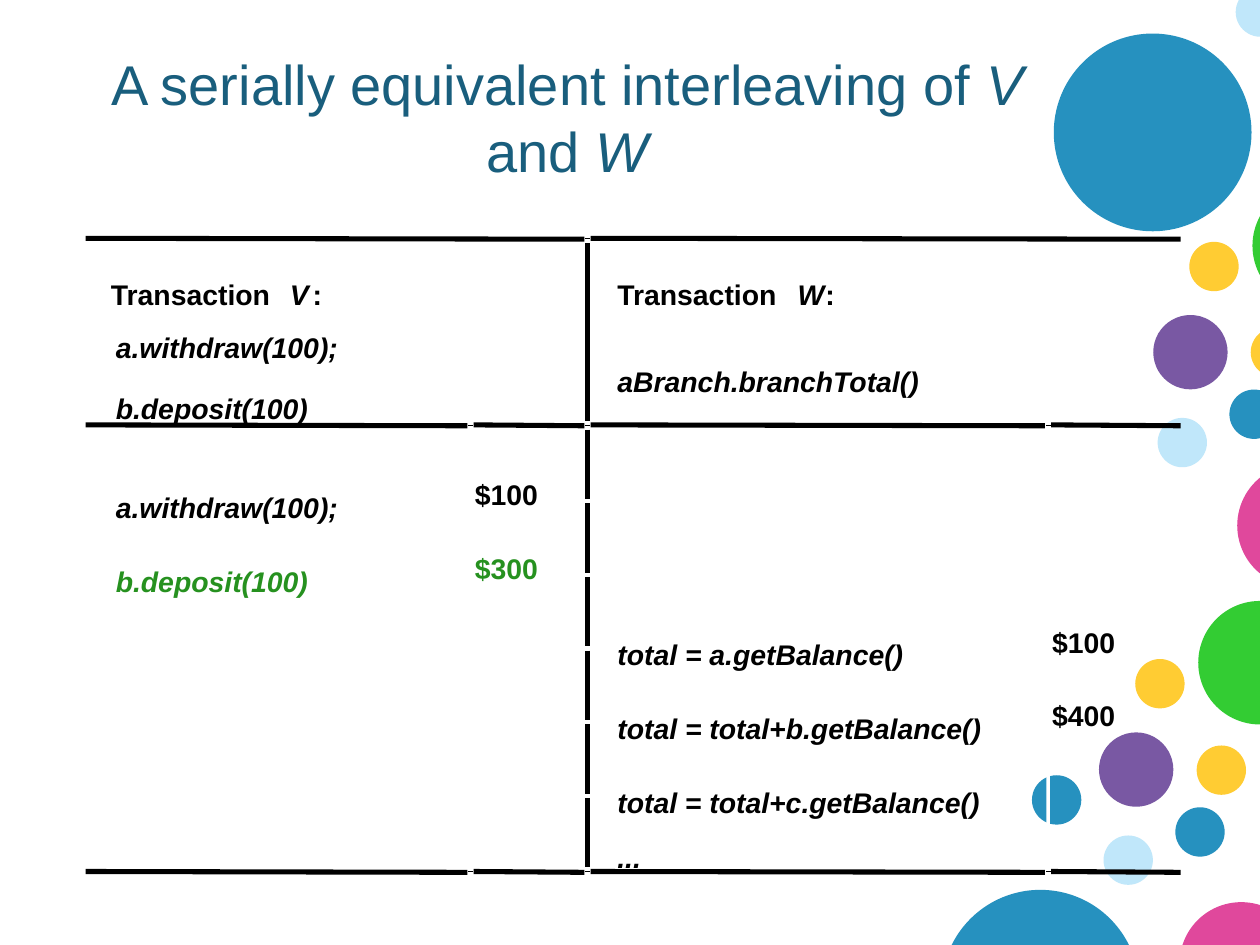
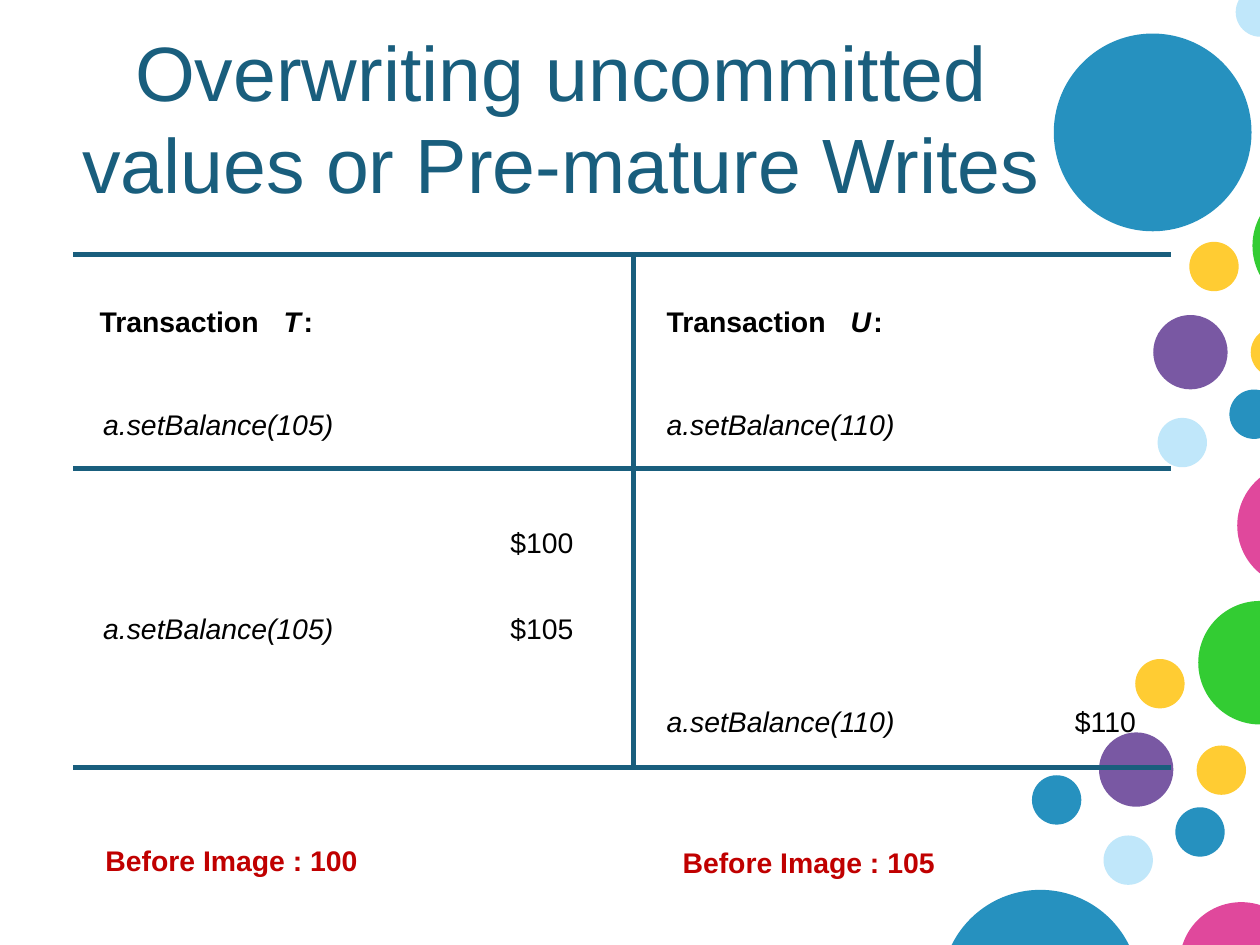
from lxml import etree
from pptx import Presentation
from pptx.dml.color import RGBColor
from pptx.enum.shapes import MSO_CONNECTOR, MSO_SHAPE
from pptx.enum.text import MSO_ANCHOR, MSO_AUTO_SIZE, PP_ALIGN
from pptx.oxml.ns import qn
from pptx.util import Pt

OVAL, RECTANGLE = MSO_SHAPE.OVAL, MSO_SHAPE.RECTANGLE
STRAIGHT = MSO_CONNECTOR.STRAIGHT
MIDDLE, CENTER = MSO_ANCHOR.MIDDLE, PP_ALIGN.CENTER
NO_AUTOFIT, GROW = MSO_AUTO_SIZE.NONE, MSO_AUTO_SIZE.SHAPE_TO_FIT_TEXT
TITLE_ONLY = 5

FONT = "Arial"
BLACK, WHITE, TEAL, RED, DARK_GREEN = "000000", "FFFFFF", "195E7D", "C00000", "26911F"
BLUE, PALE, PURPLE = "2691BF", "C0E7FA", "7958A3"
GREEN, YELLOW, PINK = "33CC33", "FFCC33", "E0489C"
SMALL, MEDIUM, LARGE, HUGE = 28.2, 42.5, 70.6, 113

BUBBLES = [
    (684.7, 343.4, LARGE, GREEN), (648.7, 376.6, SMALL, YELLOW),
    (707, 265, LARGE, PINK), (628, 418.5, MEDIUM, PURPLE),
    (589.7, 443, SMALL, BLUE), (683.8, 426, SMALL, YELLOW),
    (630.6, 477.4, SMALL, PALE), (671.6, 461.3, SMALL, BLUE),
    (602.2, 19.2, HUGE, BLUE), (715.7, 105.1, LARGE, GREEN),
    (679.6, 138.2, SMALL, YELLOW), (659, 180, MEDIUM, PURPLE),
    (714.7, 187.2, SMALL, YELLOW), (661.5, 238.8, SMALL, PALE),
    (702.5, 222.6, SMALL, BLUE), (538, 508.5, HUGE, BLUE),
    (674, 515.5, LARGE, PINK), (706.1, -7.2, SMALL, PALE),
]


def color(value):
    return RGBColor.from_string(value)


def add_plain_shape(shapes, kind, left, top, width, height, fill):
    shape = shapes.add_shape(kind, Pt(left), Pt(top), Pt(width), Pt(height))
    shape.shadow.inherit = False
    shape.fill.solid()
    shape.fill.fore_color.rgb = color(fill)
    shape.line.fill.background()
    return shape


def add_line(shapes, start, end, line_color, width):
    line = shapes.add_connector(STRAIGHT, *(Pt(value) for value in start + end))
    line.line.color.rgb = color(line_color)
    line.line.width = Pt(width)
    etree.SubElement(line.element.spPr, qn("a:effectLst"))


def add_run(paragraph, text, size=28, text_color=BLACK, bold=False, italic=False, baseline=None):
    run = paragraph.add_run()
    run.text = text
    font = run.font
    font.name, font.size, font.bold, font.italic = FONT, Pt(size), bold, italic
    font.color.rgb = color(text_color)
    if baseline:
        run._r.get_or_add_rPr().set("baseline", str(baseline * 1000))


def add_text(shapes, text, left, top, width, height=22.3, inset=True, **text_format):
    """Add a lowered label; without inset it starts exactly at its left edge."""
    box = shapes.add_textbox(Pt(left), Pt(top), Pt(width), Pt(height))
    frame = box.text_frame
    frame.word_wrap = inset
    frame.auto_size = GROW
    if not inset:
        frame.margin_left = frame.margin_top = frame.margin_right = frame.margin_bottom = 0
    add_run(frame.paragraphs[0], text, baseline=-25, **text_format)


def add_label(shapes, text, left, top, width, **text_format):
    add_text(shapes, text, left, top, width, inset=False, **text_format)


def set_title(slide, runs, width, size):
    title = slide.shapes.title
    title.left, title.top, title.width, title.height = Pt(36), Pt(21.6), Pt(width), Pt(90)
    frame = title.text_frame
    frame.word_wrap = True
    frame.auto_size = NO_AUTOFIT
    frame.vertical_anchor = MIDDLE
    paragraph = frame.paragraphs[0]
    paragraph.alignment = CENTER
    for text, italic in runs:
        add_run(paragraph, text, size=size, text_color=TEAL, italic=italic)


def decorate_layout(layout, slide):
    """Draw the bubbles on a slide, then move them to its layout."""
    for placeholder in list(layout.placeholders)[1:]:
        layout.shapes.element.remove(placeholder.element)
    bubbles = [add_plain_shape(slide.shapes, OVAL, left, top, size, size, fill)
               for left, top, size, fill in BUBBLES]
    for bubble in bubbles:
        layout.shapes.element.append(bubble.element)


def draw_heading(shapes, left, top, name, name_offset, colon_offset, height=22.3):
    parts = [("Transaction", 0, 110.9, False), (name, name_offset, 18, True),
             (":", colon_offset, 6.5, False)]
    for text, offset, width, italic in parts:
        add_label(shapes, text, left + offset, top, width, height=height,
                  bold=True, italic=italic)


def draw_broken_rule(shapes, left, right, top, breaks):
    """Draw a rule that leaves a gap with a tiny mark at every break."""
    gap, rise, start = 1.8, 0.5, left
    for position in breaks:
        add_line(shapes, (start, top), (position - gap, top + rise), BLACK, 2.88)
        add_line(shapes, (position, top), (position, top + rise), BLACK, 2.88)
        start = position + gap
    add_line(shapes, (start, top), (right, top + rise), BLACK, 2.88)


def draw_interleaving(slide, left, top):
    shapes = slide.shapes.add_group_shape().shapes
    right = left + 625.6
    amount_edge, divider, second_amount_edge = left + 219.9, left + 286.7, left + 549.9
    operation_v, operation_w = left + 17.2, left + 303.8
    amount_v, amount_w = left + 222.4, left + 552.2
    rows_top, row_height, row_count = top + 109.3, 42.1, 6
    code = {"bold": True, "italic": True}

    for row in range(row_count):
        row_top = rows_top + row * row_height
        for edge in (amount_edge, second_amount_edge):
            add_plain_shape(shapes, RECTANGLE, edge - 1, row_top, 2, row_height, WHITE)
        add_line(shapes, (divider, row_top), (divider, row_top + 39.6), BLACK, 2.88)
    add_line(shapes, (divider, top + 2.8), (divider, top + 104.3), BLACK, 2.88)

    all_edges = [amount_edge, divider, second_amount_edge]
    for offset, breaks in [(0, [divider]), (106.6, all_edges), (361.8, all_edges)]:
        draw_broken_rule(shapes, left, right, top + offset, breaks)

    draw_heading(shapes, left + 14.4, top + 3.5, "V", 102.2, 115.2)
    draw_heading(shapes, operation_w, top + 3.5, "W", 103, 118.8)
    add_label(shapes, "a.withdraw(100);", operation_v, top + 33.7, 147.6, **code)
    add_label(shapes, "b.deposit(100)", operation_v, top + 68.3, 127.4, **code)
    add_label(shapes, "aBranch.branchTotal()", operation_w, top + 53.2, 200.2, **code)

    steps = [
        (operation_v, "a.withdraw(100);", 147.6, amount_v, "$100", BLACK),
        (operation_v, "b.deposit(100)", 127.4, amount_v, "$300", DARK_GREEN),
        (operation_w, "total = a.getBalance()", 190, amount_w, "$100", BLACK),
        (operation_w, "total = total+b.getBalance()", 242, amount_w, "$400", BLACK),
        (operation_w, "total = total+c.getBalance()", 240.5, amount_w, None, BLACK),
    ]
    for row, (step_left, step, width, amount_left, amount, step_color) in enumerate(steps):
        row_top = rows_top + row * row_height
        add_label(shapes, step, step_left, row_top + 15.7, width, text_color=step_color, **code)
        if amount:
            add_label(shapes, amount, amount_left, row_top + 8.5, 41.8,
                      text_color=step_color, bold=True)
    add_label(shapes, "...", operation_w, top + 325.3, 15.8, **code)


def draw_overwriting(slide, left, top):
    shapes = slide.shapes.add_group_shape().shapes
    width, bottom, divider, height = 627.1, 293, left + 320.4, 39.6
    operation_t, operation_u = left + 17.2, left + 339.1
    draw_heading(shapes, left + 15.1, top + 9.4, "T", 105.1, 116.6, height)
    draw_heading(shapes, operation_u, top + 9.4, "U", 105.1, 118.1, height)
    for text, text_left, offset in [("a.setBalance(105)", operation_t, 68.4),
                                    ("a.setBalance(110)", operation_u, 68.4),
                                    ("a.setBalance(105)", operation_t, 185.1),
                                    ("a.setBalance(110)", operation_u, 238.4)]:
        add_label(shapes, text, text_left, top + offset, 152.4, height=height, italic=True)
    for amount, amount_left, offset in [("$100", 249.8, 136.1), ("$105", 249.8, 185.1),
                                        ("$110", 572.4, 238.4)]:
        add_label(shapes, amount, left + amount_left, top + offset, 41.8, height=height)
    for offset in (0, 122.4, bottom):
        add_line(shapes, (left, top + offset), (left + width, top + offset), TEAL, 3)
    add_line(shapes, (divider, top + 1.5), (divider, top + bottom), TEAL, 3)


def draw_before_images(slide, left, top):
    for value, offset, drop in [("105", 329.8, 1.4), ("100", 0, 0)]:
        add_text(slide.shapes, f"Before Image : {value}", left + offset, top + drop, 185, 30.2,
                 text_color=RED, bold=True)


def main():
    presentation = Presentation()
    presentation.slide_width, presentation.slide_height = Pt(720), Pt(540)
    layout = presentation.slide_layouts[TITLE_ONLY]

    slide = presentation.slides.add_slide(layout)
    decorate_layout(layout, slide)
    set_title(slide, [("A serially equivalent interleaving of ", False), ("V", True),
                      (" and ", False), ("W", True)], 576.7, 32)
    draw_interleaving(slide, 49, 136.2)

    slide = presentation.slides.add_slide(layout)
    set_title(slide, [("Overwriting uncommitted values or Pre-mature Writes", False)], 569.5, 44)
    draw_overwriting(slide, 41.8, 145.4)
    draw_before_images(slide, 53.2, 459.4)

    presentation.save("out.pptx")


if __name__ == "__main__":
    main()
